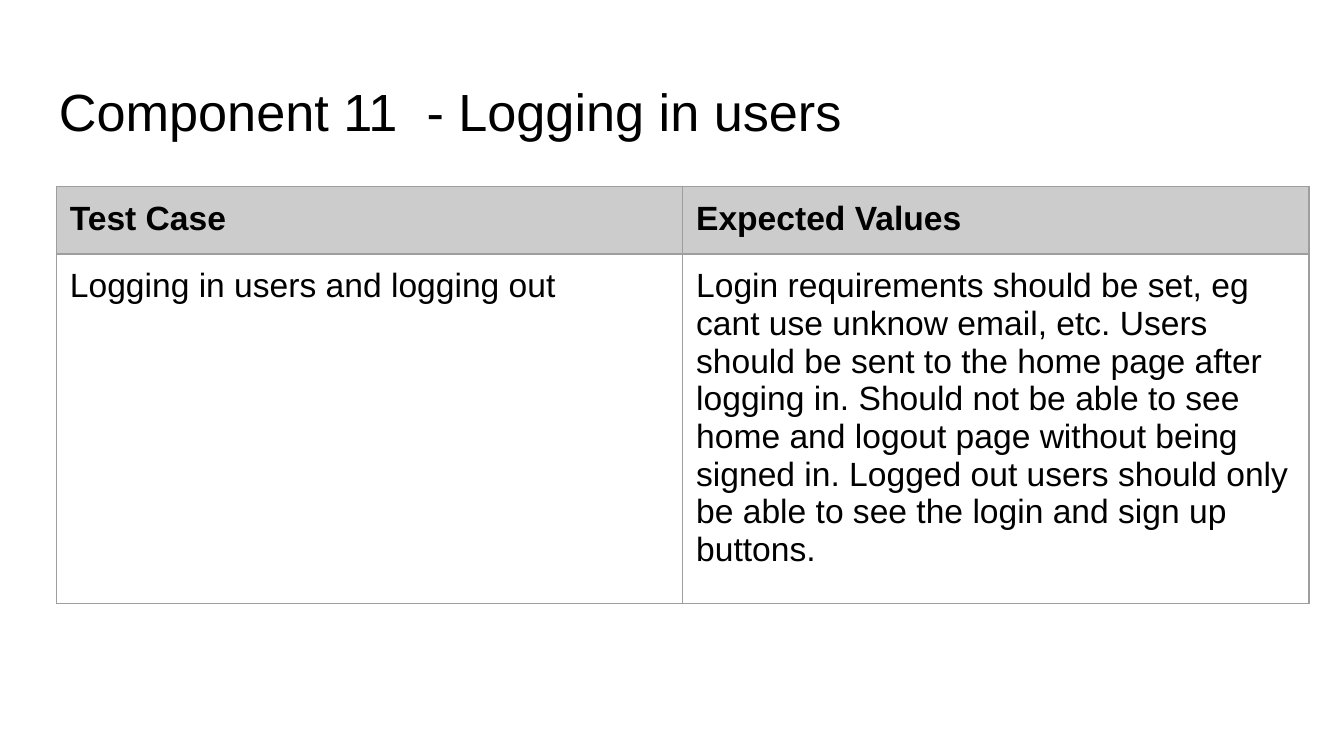
"""Build a test plan slide with a title and a two-column table."""
import pptx
import pptx.util
import pptx.dml.color
import pptx.oxml
import pptx.oxml.ns

TITLE = "Component 11  - Logging in users"
ROWS = [
    ("Test Case", "Expected Values"),
    (
        "Logging in users and logging out",
        "Login requirements should be set, eg cant use unknow email, etc. "
        "Users should be sent to the home page after logging in. "
        "Should not be able to see home and logout page without being signed in. "
        "Logged out users should only be able to see the login and sign up buttons.",
    ),
]
WIDE = 10
HIGH = WIDE * 9 / 16
SPAN, ROW = 9.32, 0.49
PAD = pptx.util.Inches(0.1)
INK, HEAD, RULE = "000000", "CCCCCC", "9E9E9E"


def inch(*sizes):
    return [pptx.util.Inches(size) for size in sizes]


def tint(code):
    return pptx.dml.color.RGBColor.from_string(code)


def write(frame, text, size=18, bold=False, color=INK):
    frame.word_wrap = True
    run = frame.paragraphs[0].add_run()
    run.text = text
    font = run.font
    font.name, font.size, font.bold = "Arial", pptx.util.Pt(size), bold
    font.color.rgb = tint(color)


def pad(box):
    box.margin_left = box.margin_right = PAD
    box.margin_top = box.margin_bottom = PAD


def edge(cell):
    props = cell._tc.get_or_add_tcPr()
    for spot, side in enumerate(("lnL", "lnR", "lnT", "lnB")):
        line = pptx.oxml.parse_xml(
            f'<a:{side} {pptx.oxml.ns.nsdecls("a")} w="{pptx.util.Pt(0.75)}">'
            f'<a:solidFill><a:srgbClr val="{RULE}"/></a:solidFill></a:{side}>'
        )
        props.insert(spot, line)


def main():
    deck = pptx.Presentation()
    deck.slide_width, deck.slide_height = inch(WIDE, HIGH)
    slide = deck.slides.add_slide(deck.slide_layouts[6])

    title = slide.shapes.add_textbox(*inch(0.34, 0.49, SPAN, 0.63)).text_frame
    pad(title)
    write(title, TITLE, size=28)

    cols = len(ROWS[0])
    table = slide.shapes.add_table(
        len(ROWS), cols, *inch(0.42, 1.39, SPAN, ROW * len(ROWS))
    ).table
    for col in table.columns:
        col.width = pptx.util.Inches(SPAN / cols)
    for r, texts in enumerate(ROWS):
        table.rows[r].height = pptx.util.Inches(ROW)
        for c, text in enumerate(texts):
            cell = table.cell(r, c)
            pad(cell)
            write(cell.text_frame, text, bold=r == 0)
            if r == 0:
                cell.fill.solid()
                cell.fill.fore_color.rgb = tint(HEAD)
            else:
                cell.fill.background()
            edge(cell)

    deck.save("out.pptx")


if __name__ == "__main__":
    main()
